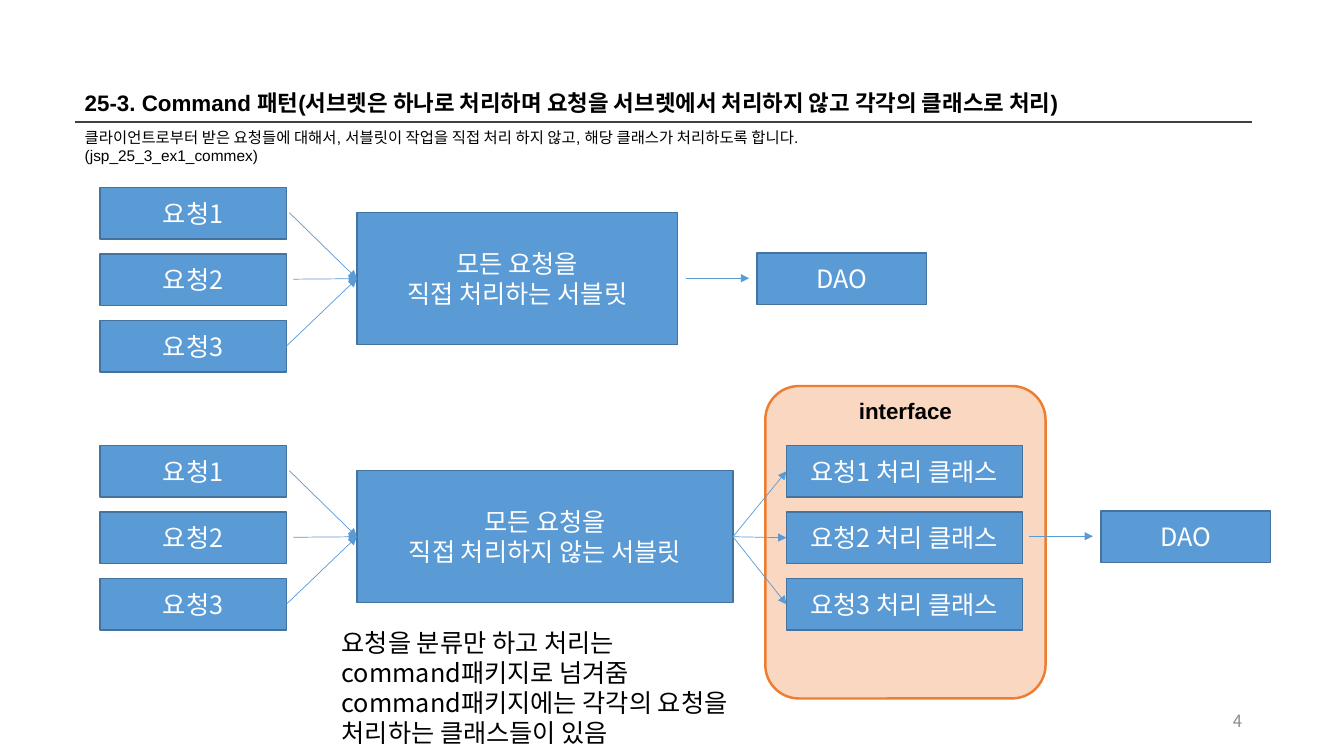
from lxml import etree
from pptx import Presentation
from pptx.dml.color import RGBColor
from pptx.enum import shapes as kind, text as txt
from pptx.oxml import ns
from pptx.util import Inches, Pt

BLUE = RGBColor(0x5B, 0x9B, 0xD5)
NAVY = RGBColor(0x43, 0x73, 0x9E)
ORANGE = RGBColor(0xED, 0x7D, 0x31)
PEACH = RGBColor(0xF4, 0xB1, 0x83)
BLACK = RGBColor(0, 0, 0)
DARK = RGBColor(0x40, 0x40, 0x40)
GREY = RGBColor(0x8C, 0x8C, 0x8C)
WHITE = RGBColor(255, 255, 255)
SANS, ASIAN = "Arial", "Noto Sans CJK KR"
LEFT, MID, RIGHT = txt.PP_ALIGN.LEFT, txt.PP_ALIGN.CENTER, txt.PP_ALIGN.RIGHT
TOP, CENTER = txt.MSO_ANCHOR.TOP, txt.MSO_ANCHOR.MIDDLE
ROW, STEP = 0.51, 0.66


def sub(parent, tag, **attrs):
    return etree.SubElement(parent, ns.qn(tag), **attrs)


def write(shape, words, size, color, face=ASIAN, bold=False, align=LEFT, anchor=TOP):
    frame = shape.text_frame
    frame.text = words
    frame.word_wrap = True
    frame.auto_size = txt.MSO_AUTO_SIZE.NONE
    frame.vertical_anchor = anchor
    for para in frame.paragraphs:
        para.alignment = align
        for run in para.runs:
            font = run.font
            font.size, font.bold, font.name = Pt(size), bold, face
            font.color.rgb = color
            sub(run._r.get_or_add_rPr(), "a:ea", typeface=ASIAN)


def place(shape, x, y, w, h):
    shape.left, shape.top = Inches(x), Inches(y)
    shape.width, shape.height = Inches(w), Inches(h)


def label(slide, x, y, w, h, words, size, color, **style):
    area = slide.shapes.add_textbox(Inches(x), Inches(y), Inches(w), Inches(h))
    write(area, words, size, color, **style)


def box(slide, x, y, w, h, words):
    shape = slide.shapes.add_shape(
        kind.MSO_SHAPE.RECTANGLE, Inches(x), Inches(y), Inches(w), Inches(h))
    shape.shadow.inherit = False
    shape.fill.solid()
    shape.fill.fore_color.rgb = BLUE
    shape.line.color.rgb = NAVY
    shape.line.width = Pt(1)
    write(shape, words, 18, WHITE, align=MID, anchor=CENTER)
    return shape


def stack(slide, x, y, w, ending=""):
    """Place the three numbered request boxes, evenly spaced."""
    return [box(slide, x, y + i * STEP, w, ROW, f"요청{i + 1}{ending}")
            for i in range(3)]


def line(slide, x1, y1, x2, y2, color=BLUE, width=0.5):
    link = slide.shapes.add_connector(
        kind.MSO_CONNECTOR.STRAIGHT, Inches(x1), Inches(y1), Inches(x2), Inches(y2))
    link.line.color.rgb = color
    link.line.width = Pt(width)
    sub(link._element.spPr, "a:effectLst")
    return link


def arrow(slide, x1, y1, x2, y2, start=None, end=None):
    """Draw an arrow, joined to the right of start and the left of end."""
    link = line(slide, x1, y1, x2, y2)
    sub(link.line._get_or_add_ln(), "a:tailEnd", type="triangle")
    if start is not None:
        link.begin_connect(start, 3)
    if end is not None:
        link.end_connect(end, 1)


def header(slide, x, y, w):
    title, body = slide.placeholders[0], slide.placeholders[1]
    place(title, x, y, w, 0.37)
    write(title, "25-3. Command 패턴(서브렛은 하나로 처리하며 요청을 서브렛에서 "
          "처리하지 않고 각각의 클래스로 처리)", 16, BLACK, SANS, True)
    line(slide, x, y + 0.38, x + w, y + 0.38, DARK, 1)
    place(body, x, y + 0.39, w, 0.47)
    write(body, "클라이언트로부터 받은 요청들에 대해서, 서블릿이 작업을 직접 처리 하지 않고, "
          "해당 클래스가 처리하도록 합니다.\n(jsp_25_3_ex1_commex)", 11, BLACK, SANS)
    for para in body.text_frame.paragraphs:
        props = para._p.get_or_add_pPr()
        props.set("marL", "0")
        props.set("indent", "0")
        sub(props, "a:buNone")
        para.space_before = Pt(0)


def intake(slide, x, y, w, words):
    """Place three requests and the servlet of width w that they lead to."""
    asks = stack(slide, x, y, 1.85)
    servlet = box(slide, x + 2.55, y + 0.25, w, 1.31, words)
    arrow(slide, x + 1.88, y + 0.25, x + 2.55, y + 0.91, end=servlet)
    arrow(slide, x + 1.92, y + 0.91, x + 2.55, y + 0.91, end=servlet)
    arrow(slide, x + 1.85, y + 1.57, x + 2.55, y + 0.91, asks[2], servlet)
    return servlet


def store(slide, x, y):
    """Place the DAO box and the arrow in front of it."""
    box(slide, x, y, 1.68, ROW, "DAO")
    arrow(slide, x - 0.71, y + 0.25, x - 0.08, y + 0.25)


def panel(slide, x, y, w, h, servlet):
    """Place the interface panel with its classes, fed by the servlet."""
    back = slide.shapes.add_shape(
        kind.MSO_SHAPE.ROUNDED_RECTANGLE, Inches(x), Inches(y), Inches(w), Inches(h))
    back.adjustments[0] = 0.12
    back.shadow.inherit = False
    back.fill.solid()
    back.fill.fore_color.rgb = PEACH
    tint = back._element.spPr.find(ns.qn("a:solidFill"))[0]
    sub(tint, "a:alpha", val="50000")
    back.line.color.rgb = ORANGE
    back.line.width = Pt(1.75)
    label(slide, x, y + 0.06, w, 0.37, "interface", 16, BLACK,
          face=SANS, bold=True, align=MID)
    for part in stack(slide, x + 0.21, y + 0.59, 2.34, " 처리 클래스"):
        arrow(slide, x, y, x, y, servlet, part)


def main():
    deck = Presentation()
    deck.slide_width, deck.slide_height = Inches(13.33), Inches(7.5)
    slide = deck.slides.add_slide(deck.slide_layouts[1])
    header(slide, 0.74, 0.83, 11.68)
    intake(slide, 0.99, 1.86, 3.18, "모든 요청을\n직접 처리하는 서블릿")
    store(slide, 7.51, 2.51)
    servlet = intake(slide, 0.99, 4.42, 3.73, "모든 요청을\n직접 처리하지 않는 서블릿")
    panel(slide, 7.59, 3.83, 2.78, 3.1, servlet)
    store(slide, 10.92, 5.07)
    label(slide, 3.29, 6.17, 4.51, 1.31,
          "요청을 분류만 하고 처리는\ncommand패키지로 넘겨줌\n"
          "command패키지에는 각각의 요청을 처리하는 클래스들이 있음", 18, BLACK)
    label(slide, 9.42, 6.95, 3, 0.4, "4", 12, GREY, align=RIGHT, anchor=CENTER)
    deck.save("out.pptx")


if __name__ == "__main__":
    main()
